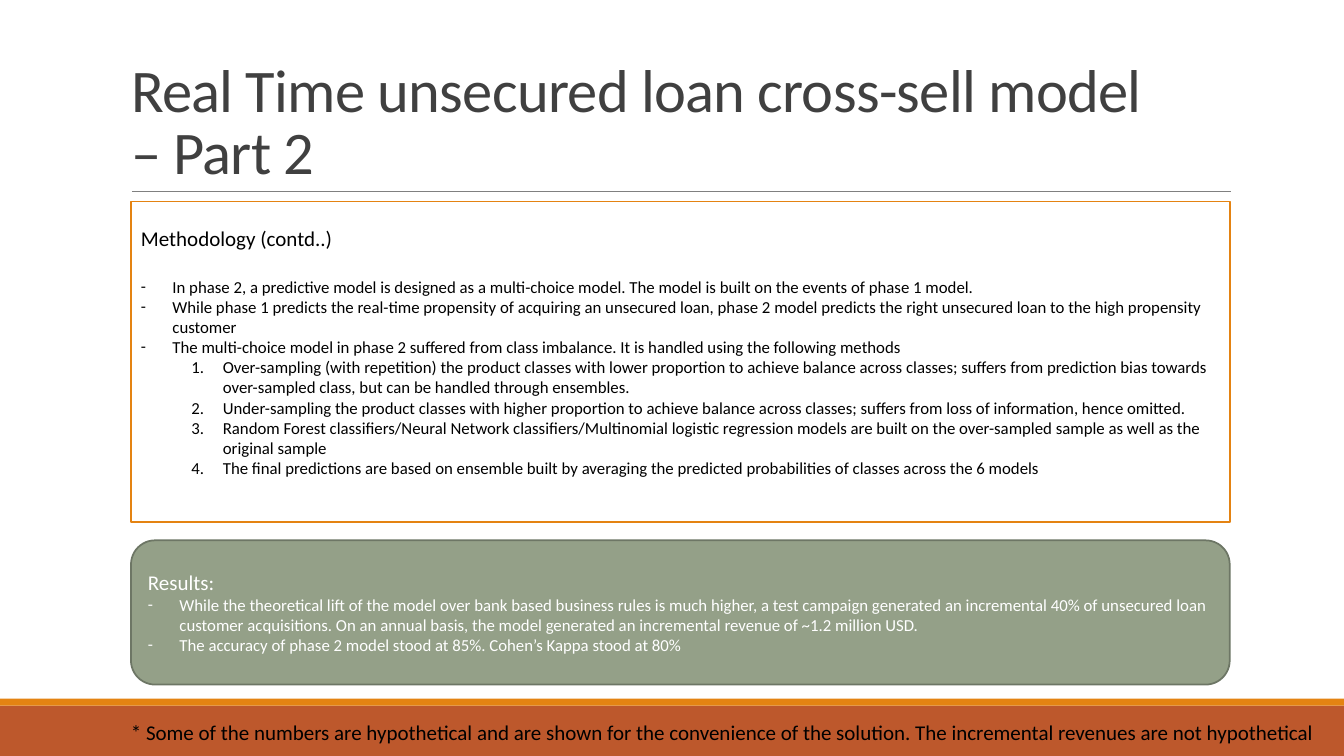
from lxml import etree
from pptx import Presentation
from pptx.dml.color import RGBColor
from pptx.enum import shapes, text
from pptx.oxml import ns
from pptx.util import Pt

COLORS = {
    "title": "404040", "rule": "808080", "black": "000000", "white": "FFFFFF",
    "rust": "BD582C", "orange": "E48312", "sage": "94A088", "sage_edge": "6D7665",
}
FONT = "Calibri"
LEFT, WIDTH = 93.6, 784.8
HANG = 22.5
DASH, NUMBER = "dash", "number"

METHODOLOGY = [
    (DASH, "In phase 2, a predictive model is designed as a multi-choice model. "
           "The model is built on the events of phase 1 model."),
    (DASH, "While phase 1 predicts the real-time propensity of acquiring an unsecured loan, "
           "phase 2 model predicts the right unsecured loan to the high propensity customer"),
    (DASH, "The multi-choice model in phase 2 suffered from class imbalance. "
           "It is handled using the following methods"),
    (NUMBER, "Over-sampling (with repetition) the product classes with lower proportion to "
             "achieve balance across classes; suffers from prediction bias towards "
             "over-sampled class, but can be handled through ensembles."),
    (NUMBER, "Under-sampling the product classes with higher proportion to achieve balance "
             "across classes; suffers from loss of information, hence omitted."),
    (NUMBER, "Random Forest classifiers/Neural Network classifiers/Multinomial logistic "
             "regression models are built on the over-sampled sample as well as the "
             "original sample"),
    (NUMBER, "The final predictions are based on ensemble built by averaging the predicted "
             "probabilities of classes across the 6 models"),
]
RESULTS = [
    (DASH, "While the theoretical lift of the model over bank based business rules is much "
           "higher, a test campaign generated an incremental 40% of unsecured loan customer "
           "acquisitions. On an annual basis, the model generated an incremental revenue of "
           "~1.2 million USD."),
    (DASH, "The accuracy of phase 2 model stood at 85%. Cohen’s Kappa stood at 80%"),
]


def rgb(name):
    return RGBColor.from_string(COLORS[name])


def style(paragraph, size, color):
    paragraph.alignment = text.PP_ALIGN.LEFT
    paragraph.font.name = FONT
    paragraph.font.size = Pt(size)
    paragraph.font.color.rgb = rgb(color)


def add_block(slide, kind, box, fill, edge=None):
    block = slide.shapes.add_shape(kind, *map(Pt, box))
    block.shadow.inherit = False
    block.fill.solid()
    block.fill.fore_color.rgb = rgb(fill)
    if edge:
        block.line.color.rgb = rgb(edge)
        block.line.width = Pt(1.25)
    else:
        block.line.fill.background()
    return block


def add_bullet(paragraph, marker):
    """Give the paragraph a hanging dash, or a number one level deeper."""
    props = paragraph._p.get_or_add_pPr()
    margin = HANG if marker == DASH else HANG + 36
    props.set("marL", str(Pt(margin)))
    props.set("indent", str(Pt(-HANG)))
    etree.SubElement(props, ns.qn("a:buFont"), typeface=FONT)
    if marker == DASH:
        etree.SubElement(props, ns.qn("a:buChar"), char="-")
    else:
        paragraph.level = 1
        etree.SubElement(props, ns.qn("a:buAutoNum"), type="arabicPeriod")


def fill_panel(panel, heading, items, color, heading_gap=0):
    frame = panel.text_frame
    frame.word_wrap = True
    frame.vertical_anchor = text.MSO_ANCHOR.MIDDLE
    first = frame.paragraphs[0]
    first.text = heading
    style(first, 15, color)
    first.space_after = Pt(heading_gap)
    for marker, words in items:
        item = frame.add_paragraph()
        item.text = words
        style(item, 12, color)
        add_bullet(item, marker)


def set_title(slide, words):
    title = slide.shapes.title
    title.left, title.top, title.width, title.height = map(Pt, (86.4, 22.3, 792, 114.5))
    frame = title.text_frame
    frame.text = words
    frame.word_wrap = True
    frame.auto_size = text.MSO_AUTO_SIZE.NONE
    frame.vertical_anchor = text.MSO_ANCHOR.BOTTOM
    heading = frame.paragraphs[0]
    style(heading, 43.2, "title")
    heading.line_spacing = 0.85
    heading.space_before = Pt(0)
    for run in heading.runs:
        run._r.get_or_add_rPr().set("spc", "-50")


def add_rule(slide, start, end, y):
    rule = slide.shapes.add_connector(
        shapes.MSO_CONNECTOR.STRAIGHT, Pt(start), Pt(y), Pt(end), Pt(y))
    rule.line.color.rgb = rgb("rule")
    rule.line.width = Pt(0.5)
    etree.SubElement(rule._element.spPr, ns.qn("a:effectLst"))


def add_footnote(slide, words):
    footnote = slide.shapes.add_textbox(*map(Pt, (86.4, 510.5, 868.3, 25.4)))
    frame = footnote.text_frame
    frame.word_wrap = False
    frame.auto_size = text.MSO_AUTO_SIZE.SHAPE_TO_FIT_TEXT
    frame.text = words
    style(frame.paragraphs[0], 15, "black")


def main():
    deck = Presentation()
    deck.slide_width, deck.slide_height = Pt(960), Pt(540)
    slide = deck.slides.add_slide(deck.slide_layouts[5])
    rectangle = shapes.MSO_SHAPE.RECTANGLE

    add_block(slide, rectangle, (0, 504, 960, 36), "rust")
    add_block(slide, rectangle, (0, 499, 960, 5), "orange")
    add_rule(slide, 94.3, 879, 136.8)
    set_title(slide, "Real Time unsecured loan cross-sell model\v– Part 2")

    results = add_block(slide, shapes.MSO_SHAPE.ROUNDED_RECTANGLE,
                        (LEFT, 386, WIDTH, 103), "sage", "sage_edge")
    fill_panel(results, "Results:", RESULTS, "white")

    methodology = add_block(slide, rectangle, (LEFT, 144, WIDTH, 229), "white", "orange")
    fill_panel(methodology, "Methodology (contd..)", METHODOLOGY, "black", heading_gap=18.3)
    methodology.text_frame.margin_bottom = Pt(18.2)

    add_footnote(slide, "* Some of the numbers are hypothetical and are shown for the convenience "
                        "of the solution. The incremental revenues are not hypothetical")
    deck.save("out.pptx")


if __name__ == "__main__":
    main()
